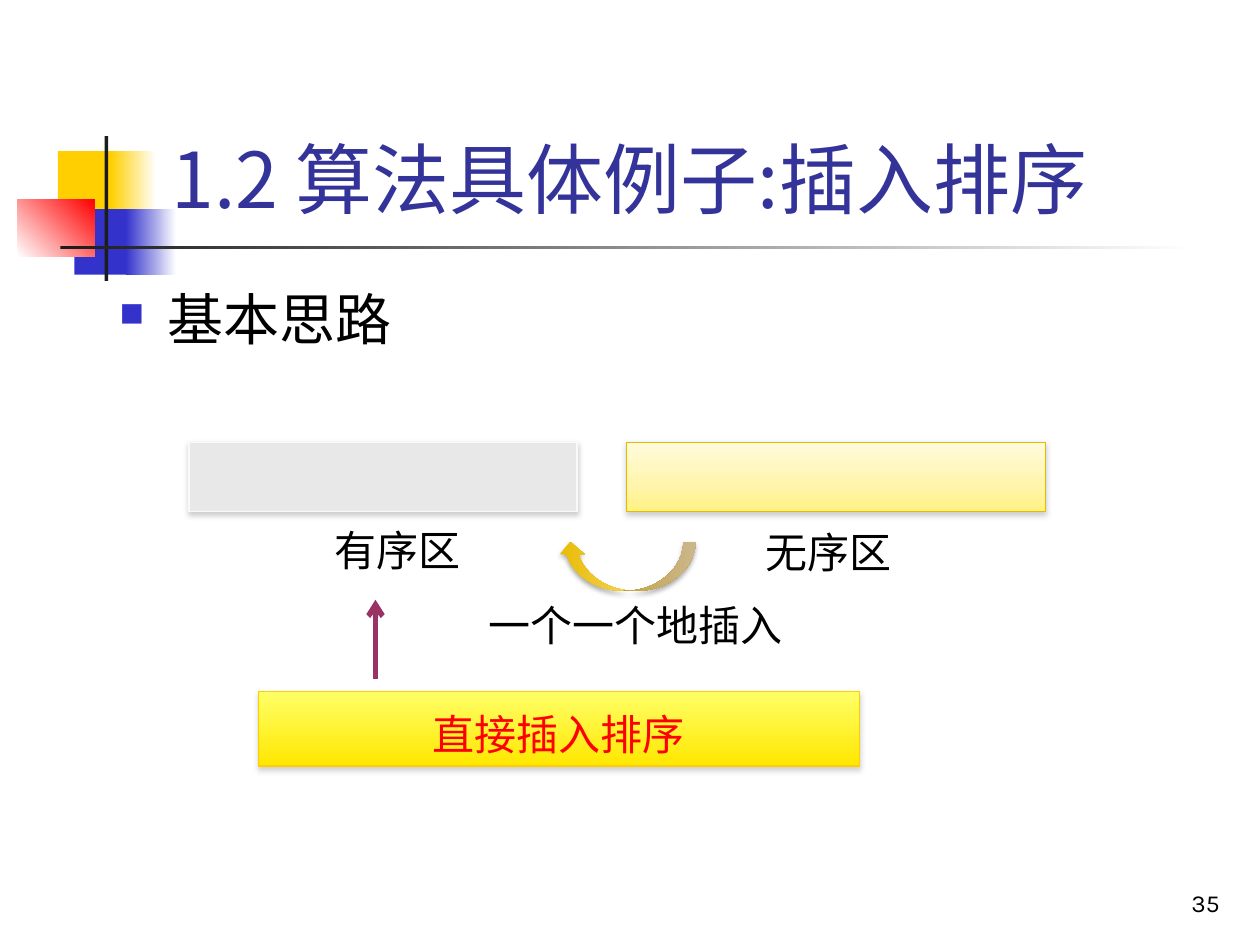
from lxml import etree
from pptx import Presentation, util as u
from pptx.dml.color import RGBColor
from pptx.enum import shapes, text
from pptx.oxml import ns

C = {"gold": "FFCF01", "blue": "3333CC", "red": "FF0000", "white": "FFFFFF",
     "ink": "1C1C1C", "black": "000000", "title": "333399", "plum": "993366",
     "gray": "808080", "sorted": "E8E8E8", "sorted_line": "F9F9F9",
     "cream": "FFFBDC", "straw": "FFF4A9", "lemon": "FFF284", "unsorted_line": "E7BA00",
     "yellow": "FFFF67", "amber": "FFE700", "button_line": "FFCE00",
     "arrow": "E8BC00", "sand": "FFE4B1"}
CJK = "Noto Sans CJK SC"
RECT = shapes.MSO_SHAPE.RECTANGLE
ALIGN = text.PP_ALIGN
ANCHOR = text.MSO_ANCHOR


def rgb(name):
    """Look up a palette colour."""
    return RGBColor.from_string(C[name])


def add(parent, tag, **attrs):
    """Append a DrawingML element and return it."""
    return etree.SubElement(parent, ns.qn("a:" + tag), {k: str(v) for k, v in attrs.items()})


class Deck:
    """Hold the presentation, its style and the current slide."""

    def __init__(self):
        self.prs = Presentation()
        self.prs.slide_width, self.prs.slide_height = u.Inches(10), u.Inches(7.5)
        self.s = self.prs.slides.add_slide(self.prs.slide_layouts[5])

    def put_text(self, sp, words, size=24, color="black", font=CJK, align=ALIGN.LEFT,
                 anchor=ANCHOR.TOP, bullet=None, spacing=None):
        """Fill a shape with one formatted paragraph."""
        tf = sp.text_frame
        frame = {"word_wrap": True, "auto_size": text.MSO_AUTO_SIZE.NONE, "vertical_anchor": anchor}
        for key, value in frame.items():
            setattr(tf, key, value)
        p = tf.paragraphs[0]
        p.alignment = align
        if spacing:
            p.line_spacing = spacing
        if bullet:
            pPr = p._p.get_or_add_pPr()
            indent = u.Inches(0.38)
            pPr.set("marL", str(indent))
            pPr.set("indent", str(-indent))
            add(add(pPr, "buClr"), "srgbClr", val=C[bullet])
            add(pPr, "buSzPct", val=60000)
            add(pPr, "buChar", char="■")
        r = p.add_run()
        r.text = words
        for key, value in {"name": font, "size": u.Pt(size)}.items():
            setattr(r.font, key, value)
        r.font.color.rgb = rgb(color)
        add(r._r.get_or_add_rPr(), "ea", typeface=CJK)

    def title(self, words, box, **style):
        """Place and format the title placeholder."""
        sp = self.s.shapes.title
        sp.left, sp.top, sp.width, sp.height = map(u.Inches, box)
        self.put_text(sp, words, **style)

    def label(self, words, box, **style):
        """Add a text box."""
        self.put_text(self.s.shapes.add_textbox(*map(u.Inches, box)), words, **style)

    def shape(self, box, stops, angle=0, line=None, shadow=None, kind=RECT, rotation=0):
        """Add a shape with a solid or gradient fill and an optional line and shadow."""
        sp = self.s.shapes.add_shape(kind, *map(u.Inches, box))
        sp.rotation = rotation
        sp.shadow.inherit = False
        if isinstance(stops, str):
            sp.fill.solid()
            sp.fill.fore_color.rgb = rgb(stops)
        else:
            self.gradient(sp, stops, angle)
        if line:
            sp.line.color.rgb = rgb(line)
            sp.line.width = u.Pt(0.75)
        else:
            sp.line.fill.background()
        if shadow:
            color, alpha, distance = shadow
            effects = sp._element.spPr.find(ns.qn("a:effectLst"))
            outer = add(effects, "outerShdw", blurRad=u.Pt(3.1), dist=u.Pt(distance),
                        dir=90 * 60000, rotWithShape=0)
            add(add(outer, "srgbClr", val=C[color]), "alpha", val=alpha * 1000)
        return sp

    def gradient(self, sp, stops, angle):
        """Give a shape a linear gradient from (percent, colour) stops."""
        sp.fill.background()
        spPr = sp._element.spPr
        grad = add(spPr, "gradFill", rotWithShape=1)
        gs_list = add(grad, "gsLst")
        for pos, color in stops:
            add(add(gs_list, "gs", pos=pos * 1000), "srgbClr", val=C[color])
        add(grad, "lin", ang=angle * 60000, scaled=0)
        spPr.replace(spPr.find(ns.qn("a:noFill")), grad)

    def arrow(self, start, end, color, width):
        """Add a straight line with an open arrowhead at its end."""
        cx = self.s.shapes.add_connector(shapes.MSO_CONNECTOR.STRAIGHT,
                                         *map(u.Inches, start + end))
        cx.line.color.rgb = rgb(color)
        cx.line.width = u.Pt(width)
        add(cx.line._get_or_add_ln(), "tailEnd", type="arrow")
        add(cx._element.spPr, "effectLst")


def fade(start, end):
    """Return the stops of a two-colour gradient."""
    return [(0, start), (100, end)]


def main():
    """Build the insertion sort slide."""
    d = Deck()
    for box, stops, angle in [
            ((0.46, 1.2, 0.48, 0.52), "gold", 0),
            ((0.88, 1.2, 0.36, 0.52), fade("gold", "white"), 0),
            ((0.59, 1.66, 0.46, 0.52), "blue", 0),
            ((1, 1.66, 0.4, 0.52), fade("blue", "white"), 0),
            ((0.14, 1.58, 0.61, 0.46), fade("white", "red"), 315),
            ((0.83, 1.08, 0.03, 1.15), "ink", 0),
            ((0.48, 1.95, 9, 0.03), fade("ink", "white"), 0)]:
        d.shape(box, stops, angle)

    d.label("35", (7.7, 6.83, 2.08, 0.5), size=14, font="Karla",
            align=ALIGN.RIGHT, anchor=ANCHOR.BOTTOM)
    d.title("1.2 算法具体例子:插入排序", (1.26, 0.23, 8.52, 1.6), size=44,
            color="title", anchor=ANCHOR.BOTTOM)
    d.label("基本思路", (0.85, 2.21, 3.87, 0.72), size=32, font="Times New Roman", bullet="blue")

    button = d.shape((2.05, 5.49, 4.77, 0.59), fade("yellow", "amber"), 90,
                     "button_line", ("gray", 35, 1.8))
    d.put_text(button, "直接插入排序", color="red", align=ALIGN.CENTER, spacing=1.2)

    zone_shadow = ("gray", 38, 1.6)
    d.shape((1.5, 3.51, 3.08, 0.55), "sorted", 0, "sorted_line", zone_shadow)
    d.shape((4.97, 3.51, 3.33, 0.55), [(0, "cream"), (65, "straw"), (100, "lemon")], 90,
            "unsorted_line", zone_shadow)
    d.shape((4.78, 3.95, 0.39, 1.09), fade("arrow", "sand"), 270, None, ("black", 35, 1.8),
            shapes.MSO_SHAPE.CURVED_LEFT_ARROW, 90)

    for words, left, top, width in [("有序区", 2.56, 4.11, 1.64),
                                    ("无序区", 5.98, 4.13, 1.64),
                                    ("一个一个地插入", 3.78, 4.71, 2.58)]:
        d.label(words, (left, top, width, 0.5))
    d.arrow((2.98, 5.39), (2.98, 4.76), "plum", 3)
    d.prs.save("out.pptx")


if __name__ == "__main__":
    main()
